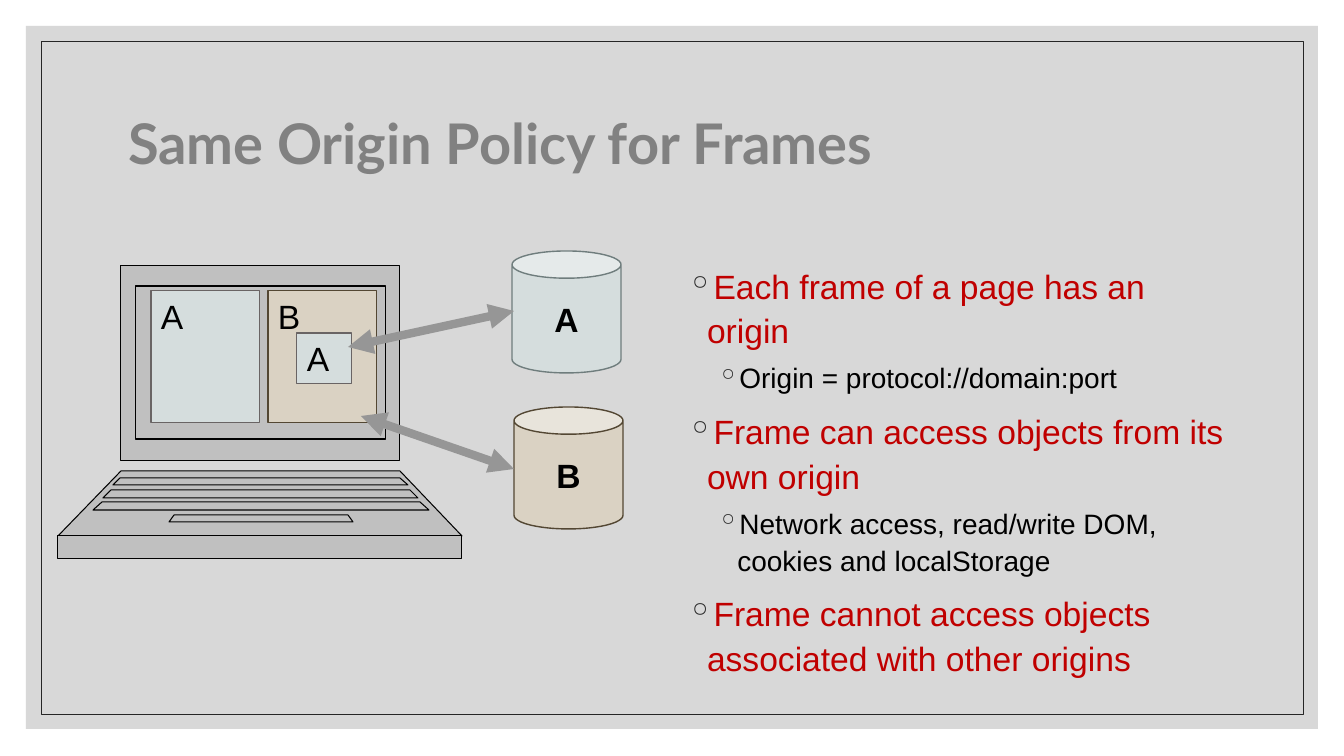
from lxml import etree
from pptx import Presentation
from pptx.dml.color import RGBColor
from pptx.enum.shapes import MSO_CONNECTOR, MSO_SHAPE
from pptx.enum.text import MSO_ANCHOR, PP_ALIGN
from pptx.oxml.ns import qn
from pptx.util import Inches, Pt

RECT, CAN = MSO_SHAPE.RECTANGLE, MSO_SHAPE.CAN
STRAIGHT = MSO_CONNECTOR.STRAIGHT
TOP, MIDDLE = MSO_ANCHOR.TOP, MSO_ANCHOR.MIDDLE
LEFT, CENTER = PP_ALIGN.LEFT, PP_ALIGN.CENTER
PX = 914400 / 100.8

COLORS = {
    "backdrop": "BFBFBF", "ink": "262626", "black": "000000", "red": "C00000",
    "laptop": "C0C0C0", "arrow": "969696",
    "a": "D5DDDD", "a_frame": "696464", "a_server": "6F7D7D",
    "b": "DAD2C3", "b_edge": "534733",
}

# Content
TITLE = "Same Origin Policy for Frames"
POINTS = [
    (0, "Each frame of a page has an origin"),
    (1, "Origin = protocol://domain:port"),
    (0, "Frame can access objects from its own origin"),
    (1, "Network access, read/write DOM, cookies and localStorage"),
    (0, "Frame cannot access objects associated with other origins"),
]
# Level: size pt, color, space before pt, left margin in
LEVELS = [(24, "red", 9, 0.2), (20, "black", 5, 0.5)]

# Laptop parts: top y, top left, top right, bottom y, bottom left, bottom right
LAPTOP = [
    (266, 121, 400, 461, 121, 400),  # lid
    (471, 121, 400, 536, 58, 462),   # keyboard deck
    (536, 58, 462, 559, 58, 462),    # front edge
    (286, 136, 386, 439, 136, 386),  # screen
    (478, 120, 400, 485, 113, 408),  # key rows
    (490, 111, 410, 498, 103, 418),
    (502, 102, 420, 510, 93, 429),
    (515, 174, 348, 522, 169, 353),  # space bar
]
# Label, box, fill, line
FRAMES = [
    ("A", (151, 291, 109, 132), "a", "a_frame"),
    ("B", (268, 291, 109, 132), "b", "b_edge"),
    ("A", (297, 333, 55, 51), "a", "a_frame"),
]
SERVERS = [
    ("A", (512, 251, 109, 122), "a", "a_server"),
    ("B", (514, 407, 109, 122), "b", "b_edge"),
]
REQUESTS = [(361, 416, 514, 469), (348, 347, 514, 311)]


def px(*lengths):
    return [round(length * PX) for length in lengths]


def rgb(name):
    return RGBColor.from_string(COLORS[name])


def paint(shape, fill, line, width):
    shape.shadow.inherit = False
    if fill:
        shape.fill.solid()
        shape.fill.fore_color.rgb = rgb(fill)
    else:
        shape.fill.background()
    if line:
        shape.line.color.rgb = rgb(line)
        shape.line.width = Pt(width)
    else:
        shape.line.fill.background()


def add_run(paragraph, text, size, color, font="Arial", bold=False):
    run = paragraph.add_run()
    run.text = text
    run.font.size, run.font.name, run.font.bold = Pt(size), font, bold
    run.font.color.rgb = rgb(color)


def add_block(preset, box, fill, line, width):
    block = slide.shapes.add_shape(preset, *px(*box))
    paint(block, fill, line, width)
    return block


def add_labelled(preset, items, width, anchor, align, bold):
    for label, box, fill, line in items:
        text = add_block(preset, box, fill, line, width).text_frame
        text.vertical_anchor = anchor
        text.paragraphs[0].alignment = align
        add_run(text.paragraphs[0], label, 24, "black", bold=bold)


prs = Presentation()
prs.slide_width, prs.slide_height = px(1344, 756)
slide = prs.slides.add_slide(prs.slide_layouts[5])

# Backdrop and border
backdrop = add_block(RECT, (26, 26, 1292, 703), "backdrop", None, 0)
backdrop_color = next(backdrop.fill._xPr.iter(qn("a:srgbClr")))
etree.SubElement(backdrop_color, qn("a:alpha"), val="60000")
add_block(RECT, (41, 41, 1262, 673), None, "ink", 0.5)

# Title
title = slide.shapes.title
title.left, title.top, title.width, title.height = px(118, 71, 1109, 151)
heading = title.text_frame
heading.vertical_anchor = MIDDLE
heading.paragraphs[0].alignment = LEFT
heading.paragraphs[0].line_spacing = 0.9
add_run(heading.paragraphs[0], TITLE, 40, "ink", "Lato", True)

# Bullet points
points = slide.shapes.add_textbox(*px(677, 257, 562, 403)).text_frame
points.word_wrap = True
for i, (level, text) in enumerate(POINTS):
    size, color, before, margin = LEVELS[level]
    point = points.add_paragraph() if i else points.paragraphs[0]
    point.level = level
    point.line_spacing = 1.1
    point.space_before = Pt(before if i else 0)
    props = point._p.get_or_add_pPr()
    props.set("marL", str(Inches(margin)))
    props.set("indent", str(-Inches(0.2)))
    bullet_color = etree.SubElement(props, qn("a:buClr"))
    etree.SubElement(bullet_color, qn("a:srgbClr"), val=COLORS["ink"])
    etree.SubElement(props, qn("a:buChar"), char="◦")
    add_run(point, text, size, color)

# Laptop
for top, top_left, top_right, bottom, bottom_left, bottom_right in LAPTOP:
    outline = slide.shapes.build_freeform(top_left, top, scale=PX)
    outline.add_line_segments(
        [(top_right, top), (bottom_right, bottom), (bottom_left, bottom)])
    paint(outline.convert_to_shape(), "laptop", "black", 0.75)

# Page frames and the servers they come from
add_labelled(RECT, FRAMES, 0.75, TOP, LEFT, False)
add_labelled(CAN, SERVERS, 1, MIDDLE, CENTER, True)

# Two-way requests
for ends in REQUESTS:
    request = slide.shapes.add_connector(STRAIGHT, *px(*ends))
    request.line.color.rgb = rgb("arrow")
    request.line.width = Pt(6)
    for end in ("a:headEnd", "a:tailEnd"):
        etree.SubElement(request.line._get_or_add_ln(), qn(end), type="triangle")
    etree.SubElement(request._element.spPr, qn("a:effectLst"))

prs.save("out.pptx")
